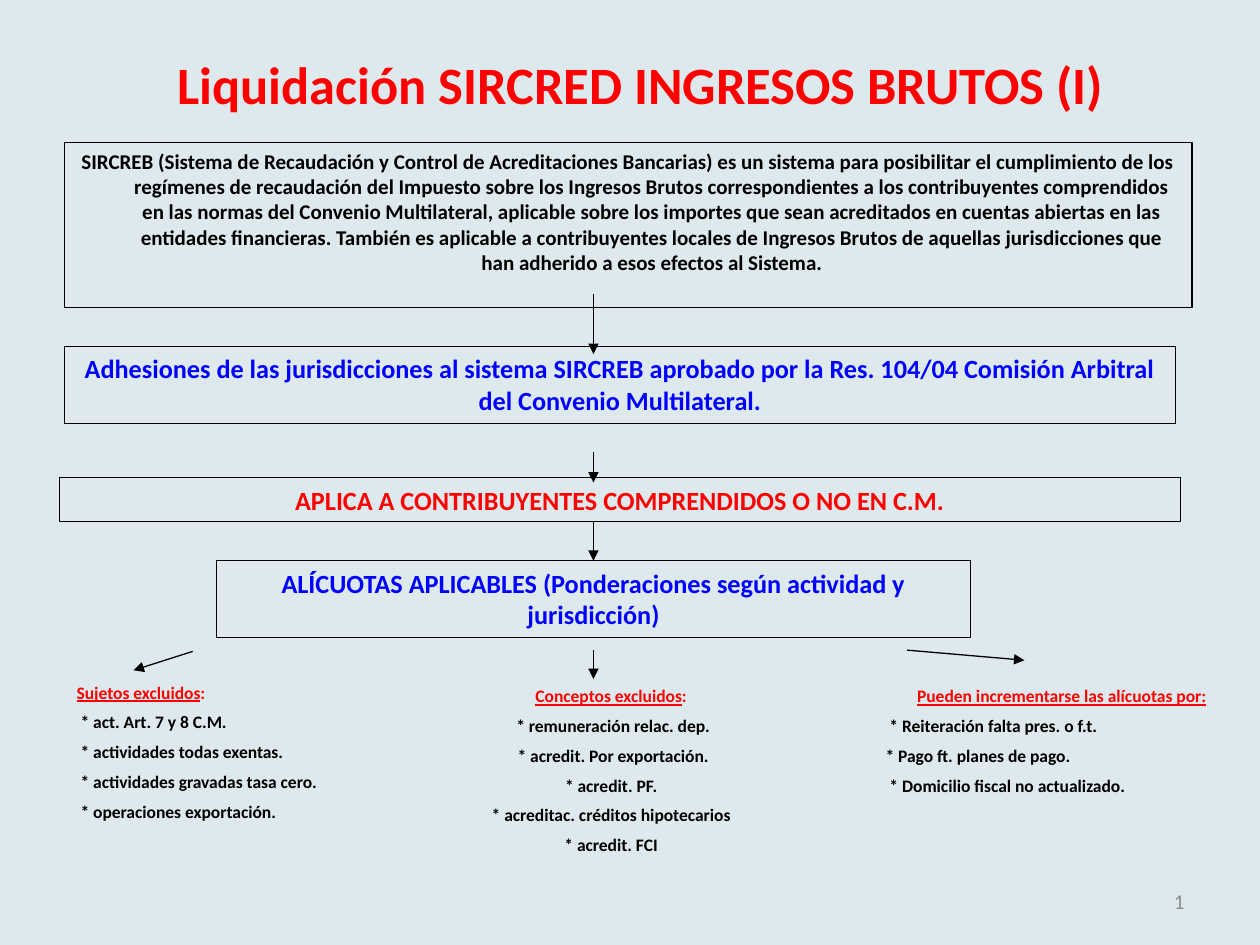
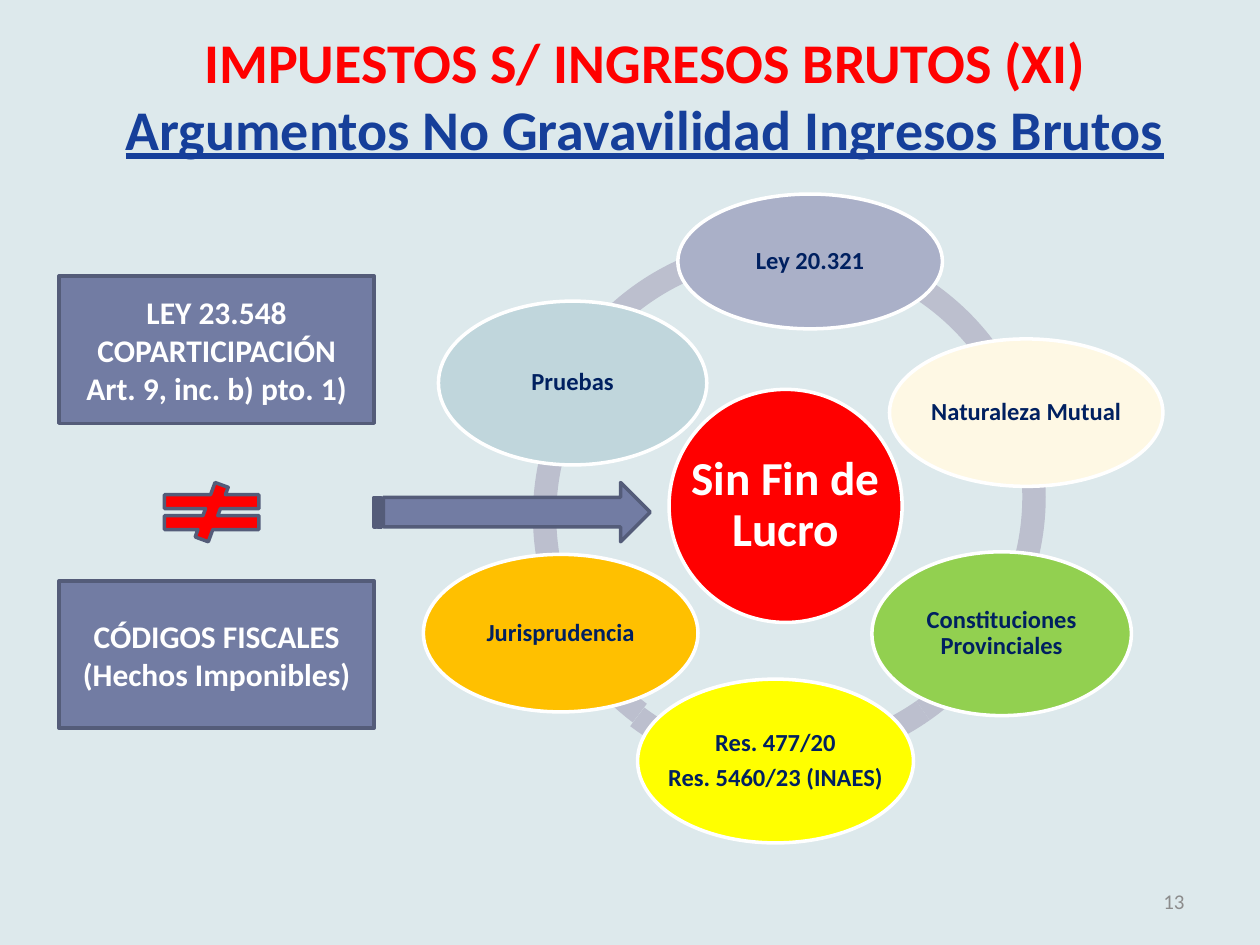
from dataclasses import dataclass

from pptx import Presentation
from pptx.dml.color import RGBColor as Rgb
from pptx.enum.shapes import MSO_CONNECTOR as Link, MSO_SHAPE as Kind
from pptx.enum.text import MSO_ANCHOR as Anchor, MSO_AUTO_SIZE as Auto, PP_ALIGN as Align
from pptx.oxml.ns import qn
from pptx.util import Emu, Pt
from lxml.etree import SubElement as Sub

PX = 9144  # EMU in one px, 100 px to the inch


@dataclass(frozen=True)
class Theme:
    font: str = "Calibri"
    # colours
    back: str = "DDE9EC"
    ink: str = "000000"
    red: str = "FF0000"
    blue: str = "0000FF"
    royal: str = "163F9A"
    navy: str = "002060"
    white: str = "FFFFFF"
    gray: str = "8C8C8C"
    slate: str = "727CA3"
    edge: str = "545C79"
    ring: str = "BCBFCE"
    lilac: str = "AAB0C8"
    cream: str = "FEF8E4"
    green: str = "92D050"
    yellow: str = "FFFF00"
    amber: str = "FFC000"
    mist: str = "C0D6DC"
    # type sizes
    item: int = 10
    body: int = 12
    node: int = 14
    step: int = 15
    card: int = 18
    core: int = 27
    head: int = 30
    banner: int = 32
    # line widths
    thin: float = 0.75
    thick: float = 2


class Deck:
    def __init__(self, theme):
        self.theme = theme
        self.show = Presentation()
        self.show.slide_width, self.show.slide_height = self.px(1000, 750)
        fill = self.show.slide_master.background.fill
        fill.solid()
        fill.fore_color.rgb = Rgb.from_string(theme.back)
        self.slide = None

    @staticmethod
    def px(*nums):
        return [Emu(num * PX) for num in nums]

    def style(self, font, size, tint, bold=True, under=None):
        font.name, font.size, font.bold = self.theme.font, Pt(size), bold
        font.underline = under
        font.color.rgb = Rgb.from_string(tint)

    def put(self, frame, lines, size, tint, align=Align.CENTER, bold=True):
        """Fill a frame with one paragraph a line, and return the paragraphs."""
        for num, line in enumerate(lines):
            para = frame.add_paragraph() if num else frame.paragraphs[0]
            para.text = line
            para.alignment = align
            self.style(para.font, size, tint, bold)
        return frame.paragraphs

    def page(self, at, size, lines, number):
        """Start a slide with its title and page number."""
        self.slide = self.show.slides.add_slide(self.show.slide_layouts[5])
        title = self.slide.shapes.title
        title.left, title.top, title.width, title.height = self.px(*at)
        frame = title.text_frame
        frame.auto_size = Auto.NONE
        paras = self.put(frame, lines, size, self.theme.red)
        frame = self.frame((717, 695, 233, 40))
        frame.vertical_anchor = Anchor.MIDDLE
        self.put(frame, [number], self.theme.body, self.theme.gray, Align.RIGHT, False)
        return paras

    def frame(self, at):
        frame = self.slide.shapes.add_textbox(*self.px(*at)).text_frame
        frame.word_wrap = True
        return frame

    def shape(self, kind, at, fill=None, line=None, width=0):
        shape = self.slide.shapes.add_shape(kind, *self.px(*at))
        shape.shadow.inherit = False
        if fill:
            shape.fill.solid()
            shape.fill.fore_color.rgb = Rgb.from_string(fill)
        else:
            shape.fill.background()
        if line:
            shape.line.color.rgb = Rgb.from_string(line)
            shape.line.width = Pt(width)
        else:
            shape.line.fill.background()
        return shape

    def step(self, at, text, size, tint):
        """Outlined box of the flow."""
        box = self.shape(Kind.RECTANGLE, at, line=self.theme.ink, width=self.theme.thin)
        box.text_frame.vertical_anchor = Anchor.TOP
        self.put(box.text_frame, [text], size, tint)
        return box

    def card(self, at, lines):
        box = self.shape(Kind.RECTANGLE, at, self.theme.slate, self.theme.edge, self.theme.thick)
        self.put(box.text_frame, lines, self.theme.card, self.theme.white)

    def node(self, at, fill, lines, size, tint):
        """Ellipse with text that breaks only where told."""
        oval = self.shape(Kind.OVAL, at, fill, self.theme.white, self.theme.thick)
        oval.text_frame.word_wrap = False
        paras = self.put(oval.text_frame, lines, size, tint)
        for para in paras:
            para.line_spacing = 0.9
        for para in paras[:-1]:
            para.space_after = Pt(size * 0.35)

    def arc(self, left, top, start, end):
        arc = self.shape(Kind.BLOCK_ARC, (left, top, 413, 413), self.theme.ring)
        arc.adjustments[0] = start * 0.6  # 60000 units a degree, over 100000
        arc.adjustments[1] = end * 0.6
        arc.adjustments[2] = 0.045

    def list(self, at, head, tail, items, mid, align):
        """Red underlined head over a list of items."""
        size, tint = self.theme.item, self.theme.ink
        paras = self.put(self.frame(at), ["", *items], size, tint, align)
        first = paras[0]
        first.alignment = mid
        for text, under in ((head, True), (tail, False)):
            if text:
                run = first.add_run()
                run.text = text
                self.style(run.font, size, self.theme.red, under=under)
        for para in paras[1:]:
            para.space_before = Pt(size / 2)

    def arrow(self, *ends):
        link = self.slide.shapes.add_connector(Link.STRAIGHT, *self.px(*ends))
        link.line.color.rgb = Rgb.from_string(self.theme.ink)
        link.line.width = Pt(self.theme.thin)
        props = link._element.spPr
        Sub(props.find(qn("a:ln")), qn("a:tailEnd"), type="triangle")
        Sub(props, qn("a:effectLst"))
        return link


def flow(deck):
    look = deck.theme
    deck.page((28, 36, 961, 61), look.head, ["Liquidación SIRCRED INGRESOS BRUTOS (I)"], "1")

    # Steps from top to bottom
    intro = deck.step(
        (51, 113, 895, 131),
        "SIRCREB (Sistema de Recaudación y Control de Acreditaciones Bancarias) es un "
        "sistema para posibilitar el cumplimiento de los regímenes de recaudación del "
        "Impuesto sobre los Ingresos Brutos correspondientes a los contribuyentes "
        "comprendidos en las normas del Convenio Multilateral, aplicable sobre los "
        "importes que sean acreditados en cuentas abiertas en las entidades financieras. "
        "También es aplicable a contribuyentes locales de Ingresos Brutos de aquellas "
        "jurisdicciones que han adherido a esos efectos al Sistema.",
        look.body, look.ink)
    props = intro.text_frame.paragraphs[0]._p.get_or_add_pPr()
    props.set("marL", str(38 * PX))
    props.set("indent", str(-38 * PX))
    deck.step((51, 275, 882, 61),
              "Adhesiones de las jurisdicciones al sistema SIRCREB aprobado por la "
              "Res. 104/04 Comisión Arbitral del Convenio Multilateral.",
              look.step, look.blue)
    deck.step((47, 379, 890, 35), "APLICA A CONTRIBUYENTES COMPRENDIDOS O NO EN C.M.",
              look.step, look.red)
    rates = deck.step((172, 445, 598, 61),
                      "ALÍCUOTAS APLICABLES (Ponderaciones según actividad y jurisdicción)",
                      look.step, look.blue)

    # Lists below the steps
    deck.list((51, 536, 307, 128), "Sujetos excluidos", ":",
              [" * act. Art. 7 y 8 C.M.", " * actividades todas exentas.",
               " * actividades gravadas tasa cero.", " * operaciones exportación."],
              Align.LEFT, Align.LEFT)
    deck.list((297, 539, 376, 153), "Conceptos excluidos", ":",
              [" * remuneración relac. dep.", " * acredit. Por exportación.",
               "* acredit. PF.", "* acreditac. créditos hipotecarios", "* acredit. FCI"],
              Align.CENTER, Align.CENTER)
    deck.list((693, 539, 299, 103), "Pueden incrementarse las alícuotas por:", "",
              [" * Reiteración falta pres. o f.t.", "* Pago ft. planes de pago.",
               " * Domicilio fiscal no actualizado."],
              Align.CENTER, Align.LEFT)

    # Arrows: one axis down the middle, then two to the sides
    axis = 471
    for top, low in ((233, 281), (359, 383), (516, 539)):
        deck.arrow(axis, top, axis, low)
    deck.arrow(axis, 414, axis, 445).end_connect(rates, 0)
    deck.arrow(153, 517, 106, 532)
    deck.arrow(720, 516, 813, 524)


def cycle(deck):
    look = deck.theme
    paras = deck.page((47, 16, 930, 118), look.banner,
                      ["IMPUESTOS S/ INGRESOS BRUTOS (XI)",
                       "Argumentos No Gravavilidad Ingresos Brutos"], "13")
    deck.style(paras[1].font, look.banner, look.royal, under=True)

    # Ring behind the nodes
    for arc in ((420, 202, 127, 165), (418, 205, 92, 127), (413, 196, 55, 90),
                (413, 196, 18, 55), (417, 188, 204, 19), (423, 203, 164, 202)):
        deck.arc(*arc)

    # Core and nodes, clockwise from the top
    deck.node((531, 309, 185, 185), look.red, ["Sin Fin de\vLucro"], look.core, look.white)
    for at, fill, *lines in (
        ((538, 154, 210, 107), look.lilac, "Ley 20.321"),
        ((706, 269, 217, 117), look.cream, "Naturaleza Mutual"),
        ((692, 438, 206, 130), look.green, "Constituciones\vProvinciales"),
        ((506, 539, 219, 130), look.yellow, "Res. 477/20", "Res. 5460/23 (INAES)"),
        ((336, 440, 218, 125), look.amber, "Jurisprudencia"),
        ((348, 239, 213, 130), look.mist, "Pruebas"),
    ):
        deck.node(at, fill, lines, look.node, look.navy)

    # Laws that differ, and the arrow to the core
    deck.card((47, 461, 250, 117), ["CÓDIGOS FISCALES", "(Hechos Imponibles)"])
    deck.card((47, 219, 250, 117), ["LEY 23.548 COPARTICIPACIÓN", "Art. 9, inc. b) pto. 1)"])
    deck.shape(Kind.STRIPED_RIGHT_ARROW, (297, 383, 219, 47),
               look.slate, look.edge, look.thick)
    deck.shape(Kind.MATH_NOT_EQUAL, (117, 383, 102, 47), look.red, look.edge, look.thick)


def main():
    deck = Deck(Theme())
    flow(deck)
    cycle(deck)
    deck.show.save("out.pptx")


if __name__ == "__main__":
    main()
